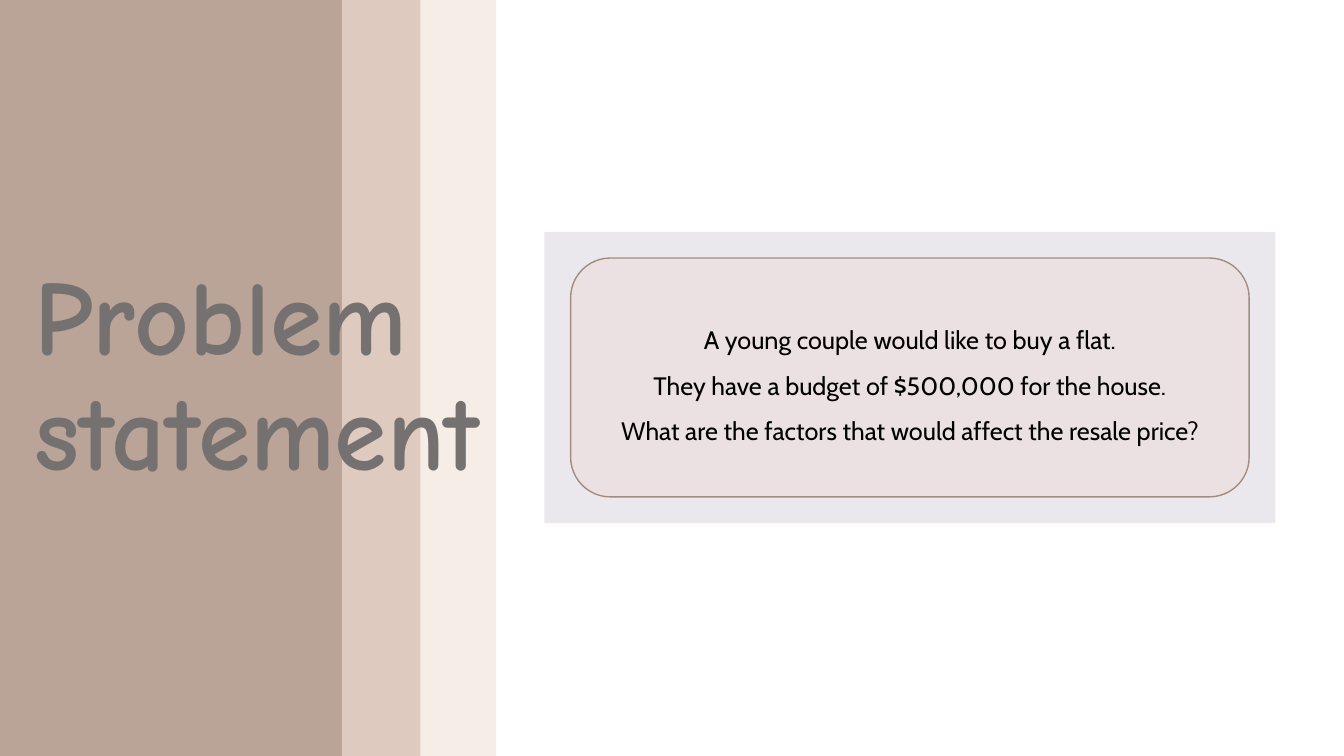
from lxml.etree import SubElement
from pptx import Presentation
from pptx.dml.color import RGBColor
from pptx.enum.shapes import MSO_SHAPE
from pptx.enum.text import MSO_ANCHOR, PP_ALIGN
from pptx.oxml.ns import qn
from pptx.util import Inches, Pt


def color(code):
    return RGBColor.from_string(code)


def add_box(slide, kind, box, fill, alpha=100, line=None):
    shape = slide.shapes.add_shape(kind, *[Inches(n) for n in box])
    shape.shadow.inherit = False
    shape.fill.solid()
    shape.fill.fore_color.rgb = color(fill)
    if alpha < 100:
        tone = shape.fill._xPr.find(".//" + qn("a:srgbClr"))
        SubElement(tone, qn("a:alpha"), val=str(alpha * 1000))
    if line:
        shape.line.color.rgb = color(line)
        shape.line.width = Pt(1)
    else:
        shape.line.fill.background()
    return shape


def add_text(shape, lines, font, size, ink, space, align, bold=False):
    frame = shape.text_frame
    frame.word_wrap = True
    frame.vertical_anchor = MSO_ANCHOR.MIDDLE
    frame.text = "\n".join(lines)
    for para in frame.paragraphs:
        para.alignment = align
        para.line_spacing = space
        para.font.name = font
        para.font.size = Pt(size)
        para.font.bold = bold
        para.font.color.rgb = color(ink)


def add_bands(slide, left, top, height):
    # Translucent bands overlap, so the left side grows darker
    for width, fill in ((4.92, "EFE1D6"), (4.17, "CFB4A4"), (3.39, "A38C7F")):
        add_box(slide, MSO_SHAPE.RECTANGLE, (left, top, width, height), fill, 60)


def add_title(slide, box):
    title = slide.shapes.add_textbox(*[Inches(n) for n in box])
    add_text(title, ["Problem statement"], "Comic Neue", 76, "767171",
             0.9, PP_ALIGN.LEFT, bold=True)


def add_panel(slide, left, top, width, height):
    # Backdrop
    add_box(slide, MSO_SHAPE.RECTANGLE, (left, top, width, height), "EAE8ED")
    # Rounded card, set in evenly from the backdrop
    gap = 0.26
    inner = (left + gap, top + gap, width - 2 * gap, height - 2 * gap)
    card = add_box(slide, MSO_SHAPE.ROUNDED_RECTANGLE, inner,
                   "EDDFDE", 70, "A38C7F")
    lines = ["A young couple would like to buy a flat.",
             "They have a budget of $500,000 for the house.",
             "What are the factors that would affect the resale price?"]
    add_text(card, lines, "Cabin", 18, "000000", 1.5, PP_ALIGN.CENTER)


def main():
    deck = Presentation()
    deck.slide_width = Inches(13.33)
    deck.slide_height = Inches(7.5)
    slide = deck.slides.add_slide(deck.slide_layouts[6])
    add_bands(slide, 0, 0, 7.5)
    add_title(slide, (0.24, 3.03, 4.92, 1.45))
    add_panel(slide, 5.4, 2.3, 7.25, 2.89)
    deck.save("out.pptx")


if __name__ == "__main__":
    main()
